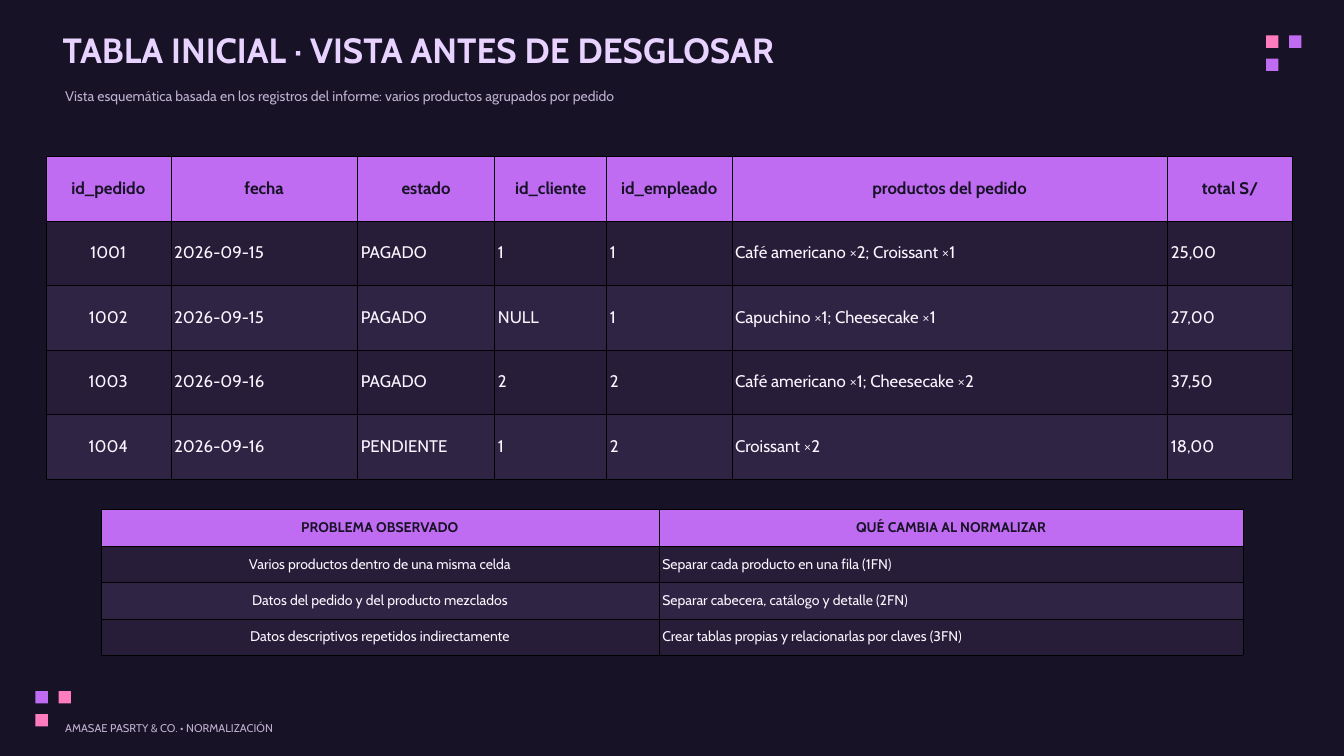
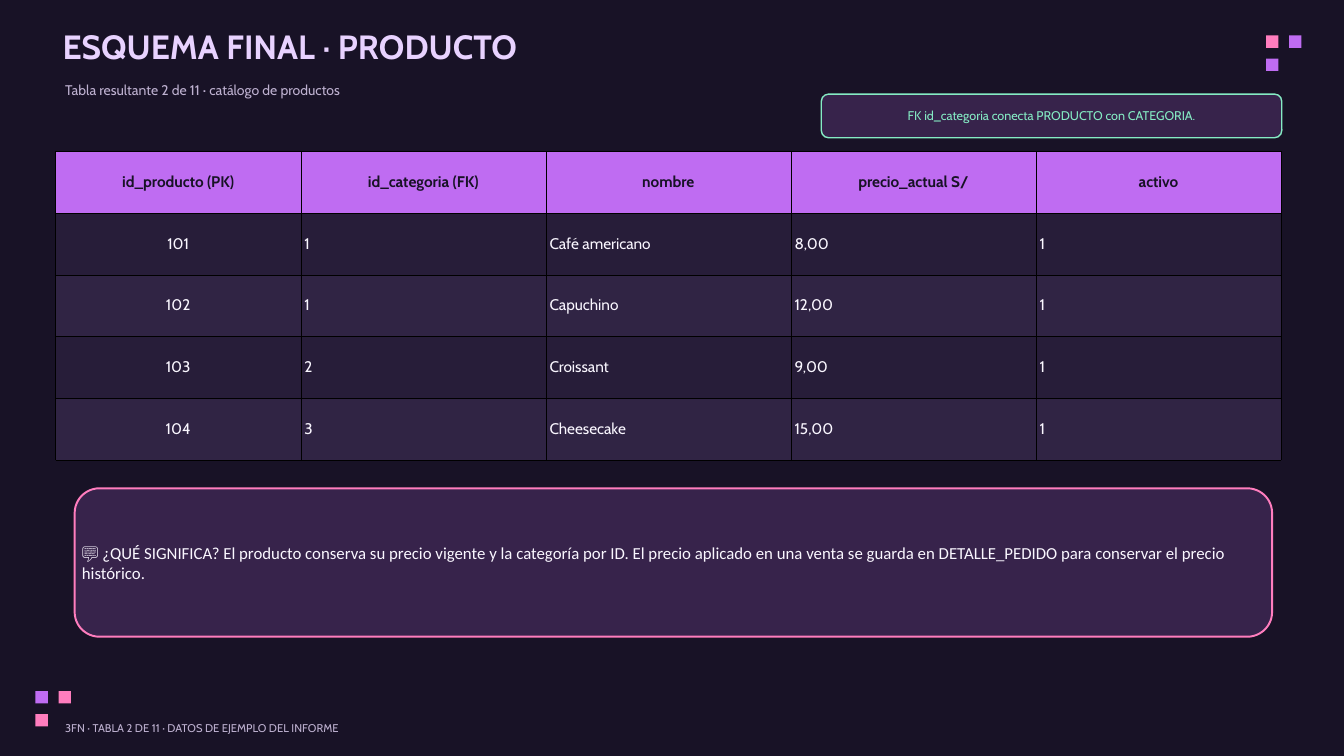
import pptx
import pptx.dml.color
import pptx.enum.shapes
import pptx.enum.text
import pptx.oxml
import pptx.oxml.ns
import pptx.util

Pt = pptx.util.Pt
RGBColor = pptx.dml.color.RGBColor
SHAPES = pptx.enum.shapes.MSO_SHAPE
ALIGN = pptx.enum.text.PP_ALIGN
ANCHOR = pptx.enum.text.MSO_ANCHOR

# Shared look
NIGHT = RGBColor(0x18, 0x12, 0x26)
VIOLET = RGBColor(0xBF, 0x6C, 0xF2)
PINK = RGBColor(0xFF, 0x7D, 0xBE)
MINT = RGBColor(0x85, 0xEB, 0xC4)
LILAC = RGBColor(0xE8, 0xD2, 0xFF)
MUTED = RGBColor(0xBE, 0xB1, 0xD0)
PALE = RGBColor(0xFA, 0xF7, 0xFF)
PANEL = RGBColor(0x37, 0x23, 0x4B)
ROW_FILLS = (RGBColor(0x27, 0x1D, 0x39), RGBColor(0x30, 0x24, 0x44))
FONT = "Cabin"
LINE_RATIO = 1.2
SQUARE, SQUARE_STEP = 13.2, 24.75
# Corner of each cluster, then (column, row, colour) of its squares
CLUSTERS = [
    (1356.5, 38, [(0, 0, PINK), (1, 0, VIOLET), (0, 1, VIOLET)]),
    (38, 740.4, [(0, 0, VIOLET), (1, 0, PINK), (0, 1, PINK)]),
]

# Content
SLIDES = [
    {
        "title": ("TABLA INICIAL · VISTA ANTES DE DESGLOSAR", 31, 37.5),
        "subtitle": ("Vista esquemática basada en los registros del informe: "
                     "varios productos agrupados por pedido", 93.6),
        "footer": "AMASAE PASRTY & CO. • NORMALIZACIÓN",
        "tables": [
            {"left": 49, "top": 167.6, "row_height": 69.1, "size": 18, "inset": 3.6,
             "widths": [134, 200, 147, 120, 134, 467, 134],
             "rows": [
                 ("id_pedido", "fecha", "estado", "id_cliente", "id_empleado",
                  "productos del pedido", "total S/"),
                 ("1001", "2026-09-15", "PAGADO", "1", "1",
                  "Café americano ×2; Croissant ×1", "25,00"),
                 ("1002", "2026-09-15", "PAGADO", "NULL", "1",
                  "Capuchino ×1; Cheesecake ×1", "27,00"),
                 ("1003", "2026-09-16", "PAGADO", "2", "2",
                  "Café americano ×1; Cheesecake ×2", "37,50"),
                 ("1004", "2026-09-16", "PENDIENTE", "1", "2",
                  "Croissant ×2", "18,00"),
             ]},
            {"left": 108, "top": 546, "row_height": 39, "size": 15, "inset": 3.6,
             "widths": [598, 626],
             "rows": [
                 ("PROBLEMA OBSERVADO", "QUÉ CAMBIA AL NORMALIZAR"),
                 ("Varios productos dentro de una misma celda",
                  "Separar cada producto en una fila (1FN)"),
                 ("Datos del pedido y del producto mezclados",
                  "Separar cabecera, catálogo y detalle (2FN)"),
                 ("Datos descriptivos repetidos indirectamente",
                  "Crear tablas propias y relacionarlas por claves (3FN)"),
             ]},
        ],
        "panels": [],
    },
    {
        "title": ("ESQUEMA FINAL · PRODUCTO", 27.4, 36),
        "subtitle": ("Tabla resultante 2 de 11 · catálogo de productos", 87),
        "footer": "3FN · TABLA 2 DE 11 · DATOS DE EJEMPLO DEL INFORME",
        "tables": [
            {"left": 59.6, "top": 162.2, "row_height": 66.1, "size": 16.5, "inset": 4,
             "widths": [262.6] * 5,
             "rows": [
                 ("id_producto (PK)", "id_categoria (FK)", "nombre",
                  "precio_actual S/", "activo"),
                 ("101", "1", "Café americano", "8,00", "1"),
                 ("102", "1", "Capuchino", "12,00", "1"),
                 ("103", "2", "Croissant", "9,00", "1"),
                 ("104", "3", "Cheesecake", "15,00", "1"),
             ]},
        ],
        "panels": [
            {"place": (880, 100.8, 493.4, 46.8), "line": (MINT, 1.5),
             "text": "FK id_categoria conecta PRODUCTO con CATEGORIA.",
             "style": (13.5, MINT, FONT), "align": ALIGN.CENTER},
            {"place": (80, 523.2, 1283, 159), "line": (PINK, 2.1),
             "text": "💬 ¿QUÉ SIGNIFICA? El producto conserva su precio vigente y la "
                     "categoría por ID. El precio aplicado en una venta se guarda en "
                     "DETALLE_PEDIDO para conservar el precio histórico.",
             "style": (18, PALE, "Calibri"), "align": ALIGN.LEFT},
        ],
    },
]


def write(frame, text, size, color, font=FONT, bold=False, align=ALIGN.LEFT):
    frame.text = text
    para = frame.paragraphs[0]
    para.alignment = align
    para.line_spacing = Pt(size * LINE_RATIO)
    for span in para.runs:
        span.font.name = font
        span.font.size = Pt(size)
        span.font.bold = bold
        span.font.color.rgb = color


def set_margins(target, inset):
    target.margin_left = target.margin_right = Pt(inset)
    target.margin_top = target.margin_bottom = Pt(inset)


def add_text(page, text, left, top, size, color, bold=False):
    box = page.shapes.add_textbox(Pt(left), Pt(top), Pt(1283), Pt(size * LINE_RATIO))
    frame = box.text_frame
    frame.word_wrap = True
    frame.auto_size = pptx.enum.text.MSO_AUTO_SIZE.SHAPE_TO_FIT_TEXT
    set_margins(frame, 0)
    write(frame, text, size, color, bold=bold)


def add_shape(page, kind, place, fill):
    shape = page.shapes.add_shape(kind, *map(Pt, place))
    shape.shadow.inherit = False
    shape.fill.solid()
    shape.fill.fore_color.rgb = fill
    shape.line.fill.background()
    return shape


def add_squares(page):
    for left, top, squares in CLUSTERS:
        for column, row, color in squares:
            place = (left + column * SQUARE_STEP, top + row * SQUARE_STEP, SQUARE, SQUARE)
            add_shape(page, SHAPES.RECTANGLE, place, color)


def add_borders(cell):
    properties = cell._tc.get_or_add_tcPr()
    for side in ("lnL", "lnR", "lnT", "lnB"):
        properties.append(pptx.oxml.parse_xml(
            f'<a:{side} {pptx.oxml.ns.nsdecls("a")} w="{Pt(0.37)}"><a:solidFill>'
            f'<a:srgbClr val="000000"/></a:solidFill></a:{side}>'))


def add_grid(page, grid):
    rows, widths = grid["rows"], grid["widths"]
    table = page.shapes.add_table(
        len(rows), len(widths), Pt(grid["left"]), Pt(grid["top"]),
        Pt(sum(widths)), Pt(grid["row_height"] * len(rows))).table
    for column, width in zip(table.columns, widths):
        column.width = Pt(width)
    for r, row in enumerate(rows):
        table.rows[r].height = Pt(grid["row_height"])
        header = r == 0
        for c, text in enumerate(row):
            cell = table.cell(r, c)
            add_borders(cell)
            cell.fill.solid()
            cell.fill.fore_color.rgb = VIOLET if header else ROW_FILLS[(r - 1) % 2]
            cell.vertical_anchor = ANCHOR.MIDDLE
            set_margins(cell, grid["inset"])
            write(cell.text_frame, text, grid["size"], NIGHT if header else PALE,
                  bold=header, align=ALIGN.CENTER if header or c == 0 else ALIGN.LEFT)


def add_panel(page, panel):
    shape = add_shape(page, SHAPES.ROUNDED_RECTANGLE, panel["place"], PANEL)
    color, width = panel["line"]
    shape.line.color.rgb = color
    shape.line.width = Pt(width)
    frame = shape.text_frame
    frame.word_wrap = True
    frame.vertical_anchor = ANCHOR.MIDDLE
    set_margins(frame, 0)
    write(frame, panel["text"], *panel["style"], align=panel["align"])


def main():
    deck = pptx.Presentation()
    deck.slide_width, deck.slide_height = Pt(1440), Pt(810)
    backdrop = deck.slide_master.background.fill
    backdrop.solid()
    backdrop.fore_color.rgb = NIGHT

    for content in SLIDES:
        page = deck.slides.add_slide(deck.slide_layouts[6])
        add_squares(page)
        title, title_top, title_size = content["title"]
        add_text(page, title, 67, title_top, title_size, LILAC, bold=True)
        subtitle, subtitle_top = content["subtitle"]
        add_text(page, subtitle, 69.8, subtitle_top, 15, MUTED)
        for grid in content["tables"]:
            add_grid(page, grid)
        for panel in content["panels"]:
            add_panel(page, panel)
        add_text(page, content["footer"], 69.8, 773.3, 12, MUTED)

    deck.save("out.pptx")


if __name__ == "__main__":
    main()
